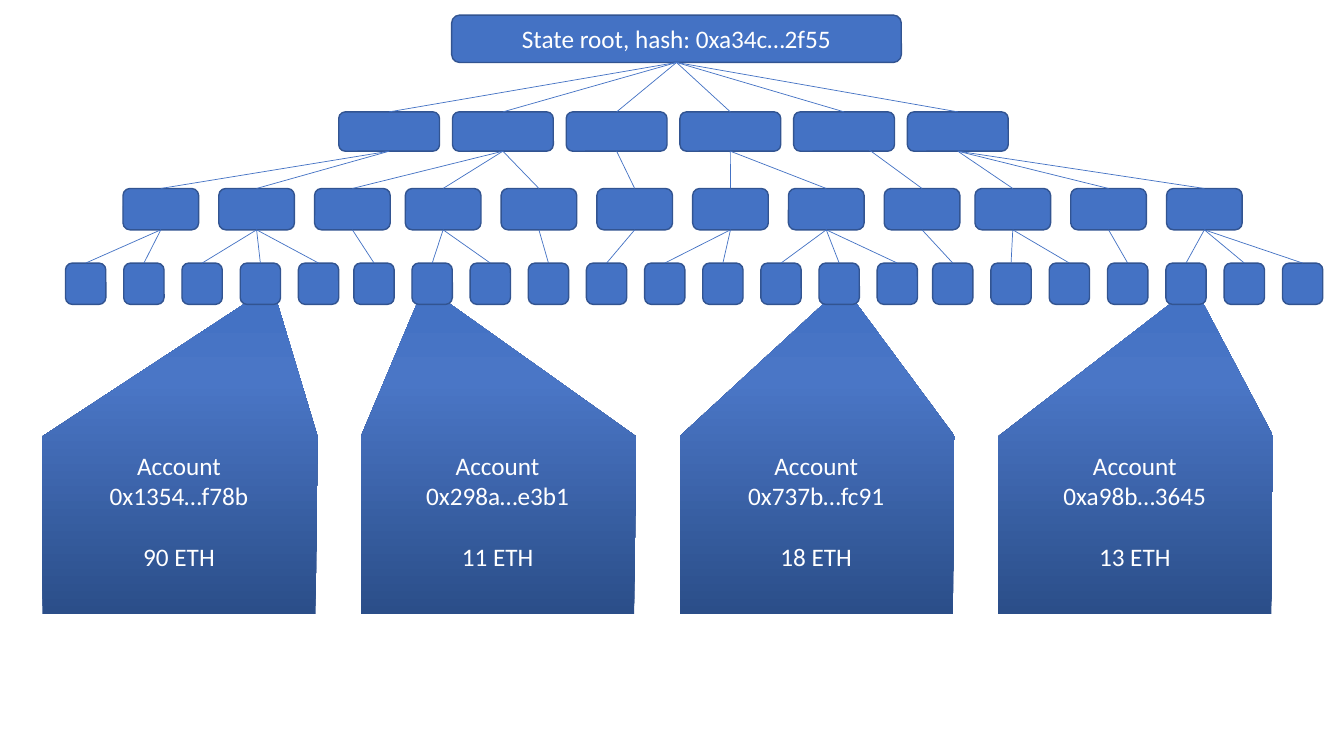
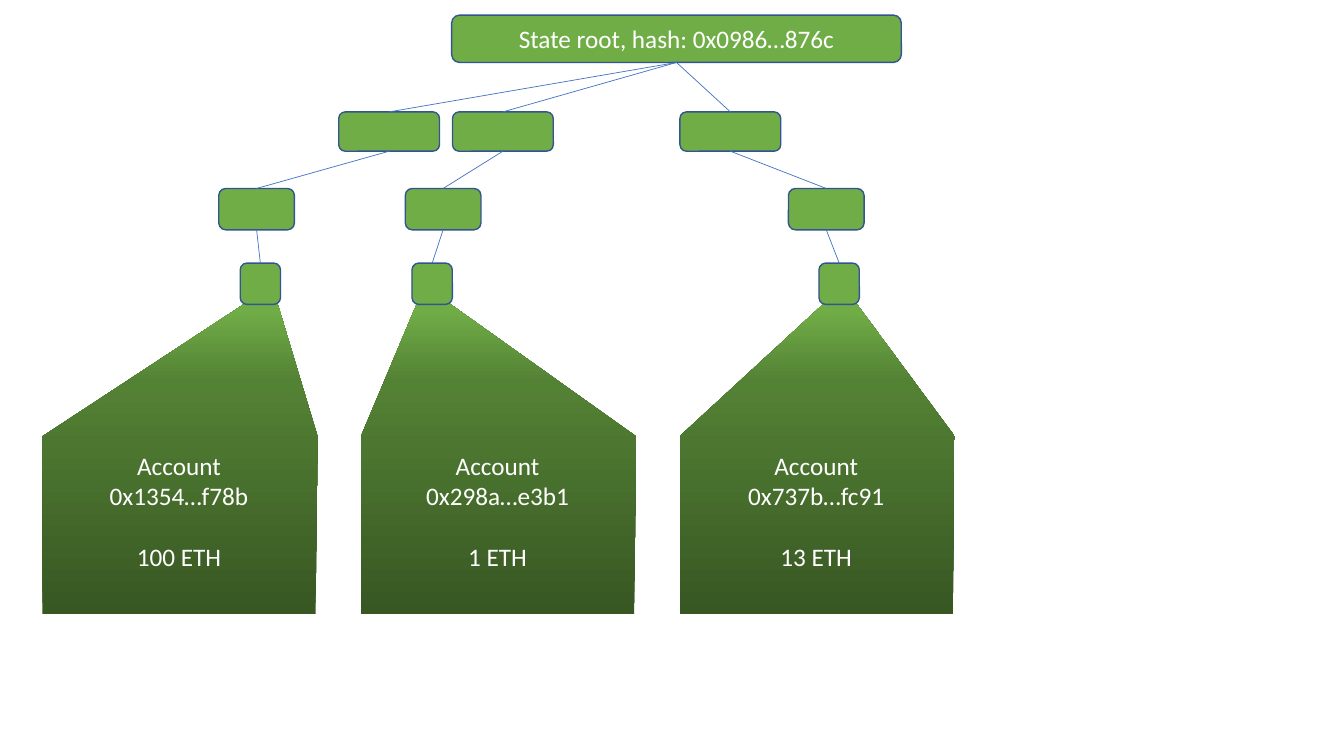
"""Build two slides of a state tree: the full state and the changed part."""
import copy

import pptx
import pptx.dml.color
import pptx.enum.shapes
import pptx.enum.text
import pptx.oxml.ns
import pptx.util
from lxml import etree

Inches = pptx.util.Inches
Pt = pptx.util.Pt
qn = pptx.oxml.ns.qn
MSO = pptx.enum.shapes

BLUE, GREEN, EDGE, WHITE = "4472C4", "70AD47", "325491", "FFFFFF"
FADES = {
    BLUE: [(0, "2B4E89"), (0.75, "4A76C6"), (0.98, BLUE)],
    GREEN: [(0, "385723"), (0.75, "548235"), (0.98, GREEN)],
}


def color(text):
    """Turn a hex string into a colour."""
    return pptx.dml.color.RGBColor.from_string(text)


def spread(first, last, count):
    """Give evenly spaced values from first to last."""
    return [first + (last - first) * i / (count - 1) for i in range(count)]


TWIGS = spread(1.22, 3.12, 3) + spread(4.02, 8.77, 6) + spread(9.67, 11.57, 3)
LEAVES = spread(0.65, 2.96, 5) + spread(3.51, 8.7, 10) + spread(9.25, 12.72, 7)
ROWS = [
    (spread(3.36, 9, 6), 1.11, 1, 0.39, [0] * 6),
    (TWIGS, 1.87, 0.75, 0.41, [0, 0, 1, 1, 1, 2, 3, 3, 4, 5, 5, 5]),
    (LEAVES, 2.61, 0.4, 0.41,
     [0, 0, 1, 1, 1, 2, 3, 3, 4, 5, 6, 6, 7, 7, 7, 8, 9, 9, 10, 11, 11, 11]),
]
LOOSE = (1, 8)
OWNERS = [(3, "0x1354…f78b"), (6, "0x298a…e3b1"), (13, "0x737b…fc91"), (19, "0xa98b…3645")]


class Deck:
    """Hold the style and the current slide."""

    def __init__(self):
        """Start an empty wide deck."""
        self.prs = pptx.Presentation()
        self.prs.slide_width = Inches(13.33)
        self.prs.slide_height = Inches(7.5)

    def page(self, tint):
        """Add a blank slide with one main colour."""
        self.tint = tint
        self.shapes = self.prs.slides.add_slide(self.prs.slide_layouts[6]).shapes

    def label(self, shape, lines):
        """Put centred white lines into a shape."""
        frame = shape.text_frame
        frame.word_wrap = True
        frame.text = "\n".join(lines)
        for para in frame.paragraphs:
            para.alignment = pptx.enum.text.PP_ALIGN.CENTER
            para.font.name = "Calibri"
            para.font.size = Pt(18)
            para.font.color.rgb = color(WHITE)
        return frame

    def node(self, left, top, width, height, text=None):
        """Add a rounded box of the tree."""
        box = self.shapes.add_shape(
            MSO.MSO_SHAPE.ROUNDED_RECTANGLE,
            Inches(left), Inches(top), Inches(width), Inches(height))
        box.shadow.inherit = False
        box.fill.solid()
        box.fill.fore_color.rgb = color(self.tint)
        box.line.color.rgb = color(EDGE)
        box.line.width = Pt(1)
        if text:
            frame = self.label(box, [text])
            frame.vertical_anchor = pptx.enum.text.MSO_ANCHOR.MIDDLE
        return box

    def link(self, upper, lower, loose):
        """Join two boxes, from the upper centre if loose."""
        line = self.shapes.add_connector(
            MSO.MSO_CONNECTOR.STRAIGHT,
            upper.left + upper.width // 2, upper.top + upper.height // 2,
            lower.left, lower.top)
        if not loose:
            line.begin_connect(upper, 2)
        line.end_connect(lower, 0)
        line.line.color.rgb = color(BLUE)
        line.line.width = Pt(0.5)
        etree.SubElement(line._element.spPr, qn("a:effectLst"))

    def fade(self, shape):
        """Fill a shape from dark at the foot to light at the top."""
        shape.fill.gradient()
        shape.fill.gradient_angle = 90
        stops = next(shape._element.spPr.iter(qn("a:gsLst")))
        stops.append(copy.deepcopy(stops[0]))
        for stop, (place, tint) in zip(shape.fill.gradient_stops, FADES[self.tint]):
            stop.position = place
            stop.color.rgb = color(tint)

    def account(self, left, leaf, owner, funds):
        """Add an account panel that hangs from a leaf."""
        spots = [(leaf + 0.05, 3.01), (leaf + 0.37, 3.01), (left + 2.73, 4.33),
                 (left + 2.71, 6.09), (left, 6.09), (left, 4.33)]
        spots = [(Inches(x), Inches(y)) for x, y in spots]
        pen = self.shapes.build_freeform(*spots[0])
        pen.add_line_segments(spots[1:], close=True)
        panel = pen.convert_to_shape()
        panel.shadow.inherit = False
        panel.line.fill.background()
        self.fade(panel)
        box = self.shapes.add_textbox(
            Inches(left), Inches(4.42), Inches(2.71), Inches(1.31))
        frame = self.label(box, ["Account", owner, funds])
        frame.paragraphs[-1].space_before = Pt(22)

    def tree(self, root, ends):
        """Add the root and every box that leads to the given leaves."""
        kept = [set(ends)]
        for row in ROWS[:0:-1]:
            kept.insert(0, {row[4][i] for i in kept[0]})
        above = {0: self.node(4.48, 0.15, 4.46, 0.47, root)}
        for level, (lefts, top, width, height, heads) in enumerate(ROWS):
            boxes = {i: self.node(lefts[i], top, width, height)
                     for i in sorted(kept[level])}
            for i, box in boxes.items():
                self.link(above[heads[i]], box, (level, i) == LOOSE)
            above = boxes

    def state(self, tint, root, funds, ends=None):
        """Add a slide with accounts and the tree above them."""
        self.page(tint)
        owners = OWNERS[:len(funds)]
        for i, ((leaf, owner), fund) in enumerate(zip(owners, funds)):
            self.account(0.42 + 3.16 * i, LEAVES[leaf], owner, fund)
        self.tree(root, ends or [leaf for leaf, _ in owners])


def main():
    """Build and save the deck."""
    deck = Deck()
    deck.state(BLUE, "State root, hash: 0xa34c…2f55",
               ["90 ETH", "11 ETH", "18 ETH", "13 ETH"], range(len(LEAVES)))
    deck.state(GREEN, "State root, hash: 0x0986…876c",
               ["100 ETH", "1 ETH", "13 ETH"])
    deck.prs.save("out.pptx")


if __name__ == "__main__":
    main()
